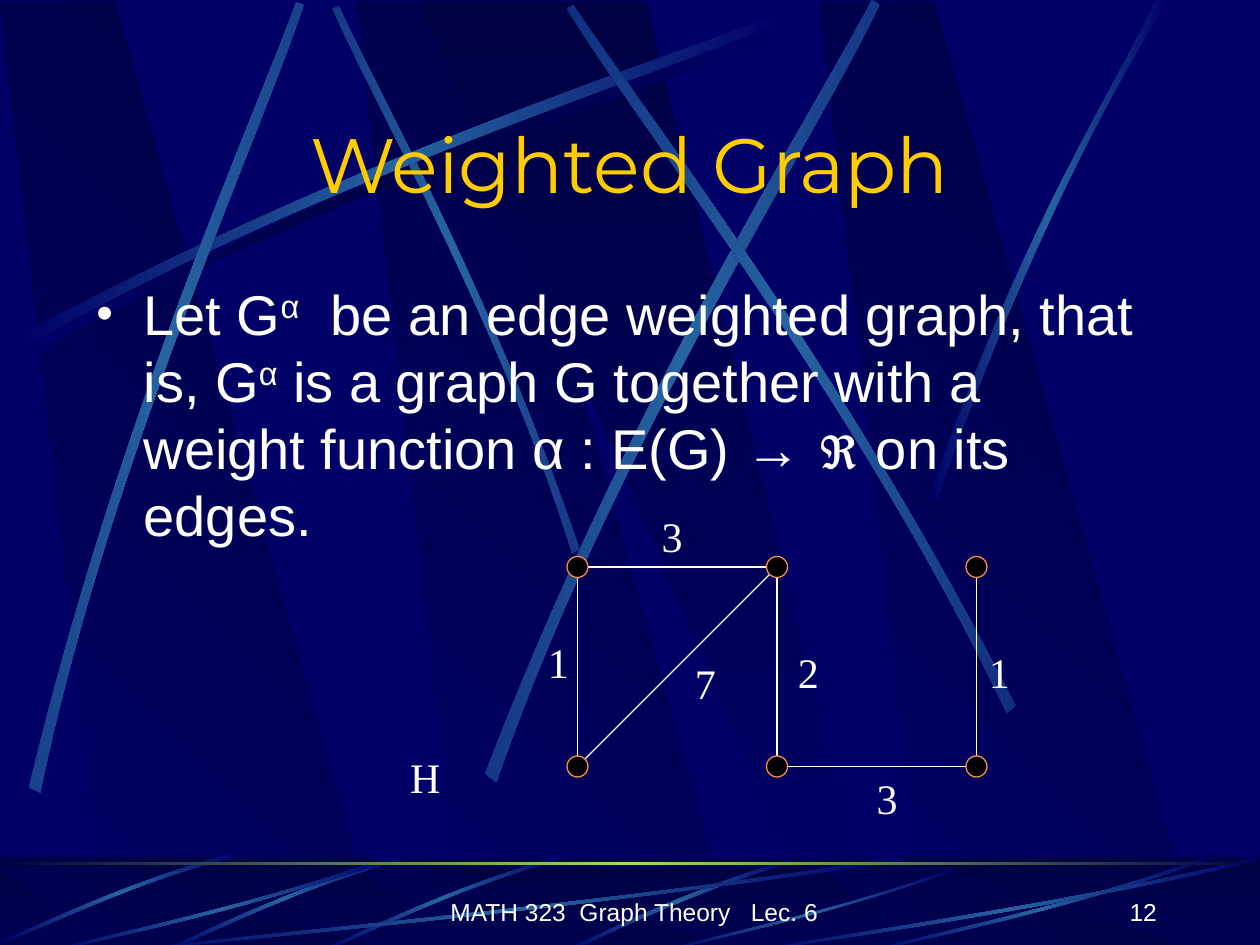
from dataclasses import dataclass
from math import cos, radians, sin

from lxml.etree import SubElement
from pptx import Presentation
from pptx.dml.color import RGBColor
from pptx.enum.shapes import MSO_CONNECTOR, MSO_SHAPE
from pptx.enum.text import MSO_ANCHOR, PP_ALIGN
from pptx.oxml import parse_xml
from pptx.oxml.ns import nsdecls, qn
from pptx.util import Inches, Pt

NAVY = RGBColor(0x00, 0x00, 0x66)
DARK = RGBColor(0x00, 0x00, 0x44)
STEEL = RGBColor(0x26, 0x63, 0xA0)
LIME = RGBColor(0x9C, 0xE1, 0x57)
GOLD = RGBColor(0xFF, 0xCC, 0x00)
ORANGE = RGBColor(0xF9, 0x8D, 0x43)
BLACK = RGBColor(0x00, 0x00, 0x00)
WHITE = RGBColor(0xFF, 0xFF, 0xFF)

WIDTH, HEIGHT = 10, 7.5
FOOTER_TOP = 6.8
CELL = WIDTH / 120
GRID_LEFT, GRID_TOP, GRID_STEP = 55 * CELL, 54 * CELL, 19 * CELL
VERTEX_SIZE = 2 * CELL
INDENT = Inches(3 / 8)
Point = tuple[float, float]


@dataclass(frozen=True)
class Streak:
    """Two curves of four points each, closed into a tapering blade."""
    points: tuple[Point, ...]
    rotation: float = 0
    shift: Point = (0, 0)
    middle: RGBColor = STEEL


@dataclass(frozen=True)
class Label:
    """A weight or name; lengths are in cells."""
    text: str
    left: float
    top: float
    width: float


LONG_STREAK = ((0.14, 2.67), (2.78, 1.25), (5.18, 0.51), (6.2, 0.1),
               (6.23, 0.16), (5.22, 0.61), (2.48, 1.43), (0.17, 2.77))
TILTED_STREAK = ((3.17, 6.8), (2.3, 7.05), (1.62, 7.4), (1.31, 7.53),
                 (1.32, 7.55), (1.63, 7.43), (2.4, 7.03), (3.19, 6.83))
SHORT_STREAK = ((3.08, 6.83), (1.93, 7.23), (0.88, 7.44), (0.43, 7.55),
                (0.42, 7.54), (0.86, 7.41), (2.06, 7.18), (3.07, 6.8))

UPPER_STREAKS = [
    Streak(LONG_STREAK, shift=(0.06, 0.08), middle=DARK),
    Streak(((4.6, 4.36), (3.91, 2.34), (3.02, 0.77), (2.69, 0.05),
            (2.64, 0.07), (2.95, 0.79), (3.98, 2.58), (4.54, 4.39)), 45),
    Streak(LONG_STREAK),
    Streak(((0.23, 6.25), (0.93, 3.34), (1.97, 1.05), (2.35, 0.02),
            (2.41, 0.04), (2.07, 1.08), (0.86, 3.68), (0.32, 6.29)), 311.7),
    Streak(((3.85, 6.14), (4.98, 3.2), (6.38, 1.02), (6.92, 0),
            (6.98, 0.04), (6.49, 1.08), (4.86, 3.55), (3.94, 6.21)), 321.6),
    Streak(((8.06, 5.6), (6.7, 2.93), (5.16, 0.95), (4.55, 0.04),
            (4.5, 0.07), (5.07, 1.01), (6.85, 3.25), (7.99, 5.66)), 34.8),
    Streak(((7.38, 3.93), (8.14, 1.73), (8.88, 0.66), (9.17, 0),
            (9.27, 0), (8.36, 1.45), (7.69, 3.22), (7.44, 3.97))),
]
FOOTER_STREAKS = [
    Streak(((6.27, 6.82), (5.37, 7.09), (4.77, 7.42), (4.48, 7.54),
            (4.53, 7.55), (4.9, 7.37), (5.71, 7), (6.28, 6.85))),
    Streak(TILTED_STREAK, 314.9, (1.25, 0)),
    Streak(TILTED_STREAK, 314.9),
    Streak(((1.86, 6.77), (0.99, 7), (0.33, 7.34), (0.02, 7.46),
            (0.03, 7.48), (0.34, 7.37), (1.1, 6.98), (1.88, 6.8)), 314.9),
    Streak(((7.17, 6.83), (4.49, 7.23), (2.06, 7.44), (1.03, 7.55),
            (1, 7.54), (2.02, 7.41), (4.8, 7.18), (7.14, 6.8))),
    Streak(SHORT_STREAK),
    Streak(((7.58, 6.91), (6.58, 7.26), (5.67, 7.45), (5.28, 7.55),
            (5.27, 7.54), (5.65, 7.43), (6.69, 7.22), (7.57, 6.89))),
    Streak(SHORT_STREAK, shift=(6.5, 0)),
    Streak(((10, 6.83), (8.27, 7.23), (6.69, 7.44), (6.02, 7.55),
            (6, 7.54), (6.66, 7.41), (8.46, 7.18), (9.98, 6.8))),
]

# Vertices are (column, row) on the graph's grid.
VERTICES = [(1, 1), (2, 0), (0, 0), (2, 1), (1, 0), (0, 1)]
EDGES = [((1, 1), (2, 1)), ((2, 1), (2, 0)), ((1, 0), (1, 1)),
         ((1, 0), (0, 1)), ((0, 0), (0, 1)), ((0, 0), (1, 0))]
LABELS = [Label("1", 51, 60, 3.75), Label("3", 61, 48, 6), Label("7", 65, 62, 4),
          Label("2", 74, 61, 6), Label("3", 82, 73, 5), Label("1", 93, 61, 3.75),
          Label("H", 34, 71, 13)]


def fill_gradient(shape, colors: list[RGBColor], angle: float) -> None:
    """Fill with evenly spaced stops that stay level when the shape turns."""
    stops = "".join(
        f'<a:gs pos="{100000 * index // (len(colors) - 1)}"><a:srgbClr val="{color}"/></a:gs>'
        for index, color in enumerate(colors))
    shape.fill.background()
    properties = shape._element.spPr
    properties.replace(properties.find(qn("a:noFill")), parse_xml(
        f'<a:gradFill {nsdecls("a")} rotWithShape="0"><a:gsLst>{stops}</a:gsLst>'
        f'<a:lin ang="{angle * 60000}" scaled="0"/></a:gradFill>'))
    shape.line.fill.background()
    shape.shadow.inherit = False


def rotate(point: Point, degrees: float) -> Point:
    x, y = point
    cosine, sine = cos(radians(degrees)), sin(radians(degrees))
    return x * cosine - y * sine, x * sine + y * cosine


def add_polygon(slide, points: list[Point]):
    corners = [(Inches(x), Inches(y)) for x, y in points]
    builder = slide.shapes.build_freeform(*corners[0])
    builder.add_line_segments(corners[1:], close=False)
    shape = builder.convert_to_shape()
    SubElement(shape._element.spPr.find(".//" + qn("a:path")), qn("a:close"))
    return shape


def curve_sides(shape) -> None:
    """Turn the first three and the last three segments into cubic curves."""
    outline = shape._element.spPr.find(".//" + qn("a:path"))
    segments = outline.findall(qn("a:lnTo"))
    for first, second, third in (segments[:3], segments[4:7]):
        curve = parse_xml(f'<a:cubicBezTo {nsdecls("a")}/>')
        first.addprevious(curve)
        for segment in (first, second, third):
            curve.append(segment[0])
            outline.remove(segment)


def add_streak(slide, streak: Streak) -> None:
    moved = [(x + streak.shift[0], y + streak.shift[1]) for x, y in streak.points]
    shape = add_polygon(slide, [rotate(point, -streak.rotation) for point in moved])
    curve_sides(shape)
    center = shape.left + shape.width / 2, shape.top + shape.height / 2
    center_x, center_y = rotate(center, streak.rotation)
    shape.left = round(center_x - shape.width / 2)
    shape.top = round(center_y - shape.height / 2)
    shape.rotation = streak.rotation
    fill_gradient(shape, [NAVY, streak.middle, NAVY], 0)


def add_bands(slide, top: float, bottom: float) -> None:
    for left in (2.83, 0, 6.5):
        band = add_polygon(slide, [(left + 0.86, bottom), (left + 3.02, bottom),
                                   (left + 0.91, top), (left, top)])
        fill_gradient(band, [NAVY, DARK], 315)
    crossing = add_polygon(slide, [(3.33, top), (6.58, bottom), (6.94, bottom), (5.13, top)])
    fill_gradient(crossing, [DARK, NAVY], 90)


def add_bar(slide, top: float, height: float):
    return slide.shapes.add_shape(MSO_SHAPE.RECTANGLE, 0, Inches(top),
                                  Inches(WIDTH), Inches(height))


def add_text(slide, box: tuple[float, ...], runs: list[str], size: float, font: str,
             color: RGBColor = WHITE, align=PP_ALIGN.CENTER, anchor=MSO_ANCHOR.TOP,
             space_before: float = 0):
    frame = slide.shapes.add_textbox(*map(Inches, box)).text_frame
    frame.word_wrap = True
    frame.vertical_anchor = anchor
    paragraph = frame.paragraphs[0]
    paragraph.alignment = align
    paragraph.space_before = Pt(space_before)
    for text in runs:
        run = paragraph.add_run()
        run.text = text
        run.font.size, run.font.name = Pt(size), font
        run.font.color.rgb = color
    return paragraph


def add_body(slide) -> None:
    paragraph = add_text(
        slide, (8 * CELL, 26 * CELL, 8.5, 2.25),
        ["Let G", "α", "  be an edge weighted graph, that is, G", "α",
         " is a graph G together with a weight function α : E(G) → ℜ on its edges."],
        32, "Arial", align=PP_ALIGN.LEFT, space_before=8)
    for run in paragraph.runs[1::2]:
        run.font._element.set("baseline", "30000")
    properties = paragraph._p.get_or_add_pPr()
    properties.set("marL", str(INDENT))
    properties.set("indent", str(-INDENT))
    color = SubElement(properties, qn("a:buClr"))
    SubElement(color, qn("a:srgbClr"), val=str(WHITE))
    SubElement(properties, qn("a:buSzPct"), val="85000")
    SubElement(properties, qn("a:buFont"), typeface="Arial")
    SubElement(properties, qn("a:buChar"), char="•")


def grid_point(vertex: tuple[int, int]) -> Point:
    column, row = vertex
    return GRID_LEFT + column * GRID_STEP, GRID_TOP + row * GRID_STEP


def add_edge(slide, start: tuple[int, int], end: tuple[int, int]) -> None:
    ends = [Inches(value) for value in grid_point(start) + grid_point(end)]
    edge = slide.shapes.add_connector(MSO_CONNECTOR.STRAIGHT, *ends)
    edge.line.color.rgb, edge.line.width = WHITE, Pt(0.75)
    SubElement(edge._element.spPr, qn("a:effectLst"))


def add_vertex(slide, vertex: tuple[int, int]) -> None:
    x, y = grid_point(vertex)
    shape = slide.shapes.add_shape(
        MSO_SHAPE.OVAL, Inches(x - VERTEX_SIZE / 2), Inches(y - VERTEX_SIZE / 2),
        Inches(VERTEX_SIZE), Inches(VERTEX_SIZE))
    shape.fill.solid()
    shape.fill.fore_color.rgb = BLACK
    shape.line.color.rgb, shape.line.width = ORANGE, Pt(0.75)
    shape.shadow.inherit = False


def add_backdrop(slide) -> None:
    slide.background.fill.solid()
    slide.background.fill.fore_color.rgb = NAVY
    add_bands(slide, 0.01, 7.52)
    for streak in UPPER_STREAKS:
        add_streak(slide, streak)
    fill_gradient(add_bar(slide, FOOTER_TOP, 0.75), [DARK, NAVY], 90)
    add_bands(slide, 6.88, 7.54)
    veil = add_bar(slide, FOOTER_TOP, 0.75)
    veil.fill.solid()
    veil.fill.fore_color.rgb = DARK
    SubElement(veil._element.spPr.find(".//" + qn("a:srgbClr")), qn("a:alpha"), val="50000")
    veil.line.fill.background()
    veil.shadow.inherit = False
    for streak in FOOTER_STREAKS:
        add_streak(slide, streak)
    fill_gradient(add_bar(slide, 6.84, HEIGHT / 320), [DARK, LIME, DARK], 0)


def main() -> None:
    presentation = Presentation()
    presentation.slide_width, presentation.slide_height = Inches(WIDTH), Inches(HEIGHT)
    slide = presentation.slides.add_slide(presentation.slide_layouts[6])
    add_backdrop(slide)
    add_text(slide, (3.45, 6.9, 3.17, 0.5), ["MATH 323  Graph Theory   Lec. 6"], 14, "Arial",
             anchor=MSO_ANCHOR.BOTTOM)
    add_text(slide, (7.2, 6.9, 2.08, 0.5), ["12"], 14, "Arial", align=PP_ALIGN.RIGHT,
             anchor=MSO_ANCHOR.BOTTOM)
    for start, end in EDGES:
        add_edge(slide, start, end)
    add_text(slide, (0.75, 0.88, 8.5, 0.83), ["Weighted Graph"], 44, "Montserrat", GOLD,
             anchor=MSO_ANCHOR.MIDDLE)
    add_body(slide)
    for vertex in VERTICES:
        add_vertex(slide, vertex)
    for label in LABELS:
        box = (label.left * CELL, label.top * CELL, label.width * CELL, 6 * CELL)
        add_text(slide, box, [label.text], 24, "Times New Roman", space_before=15)
    presentation.save("out.pptx")


if __name__ == "__main__":
    main()
